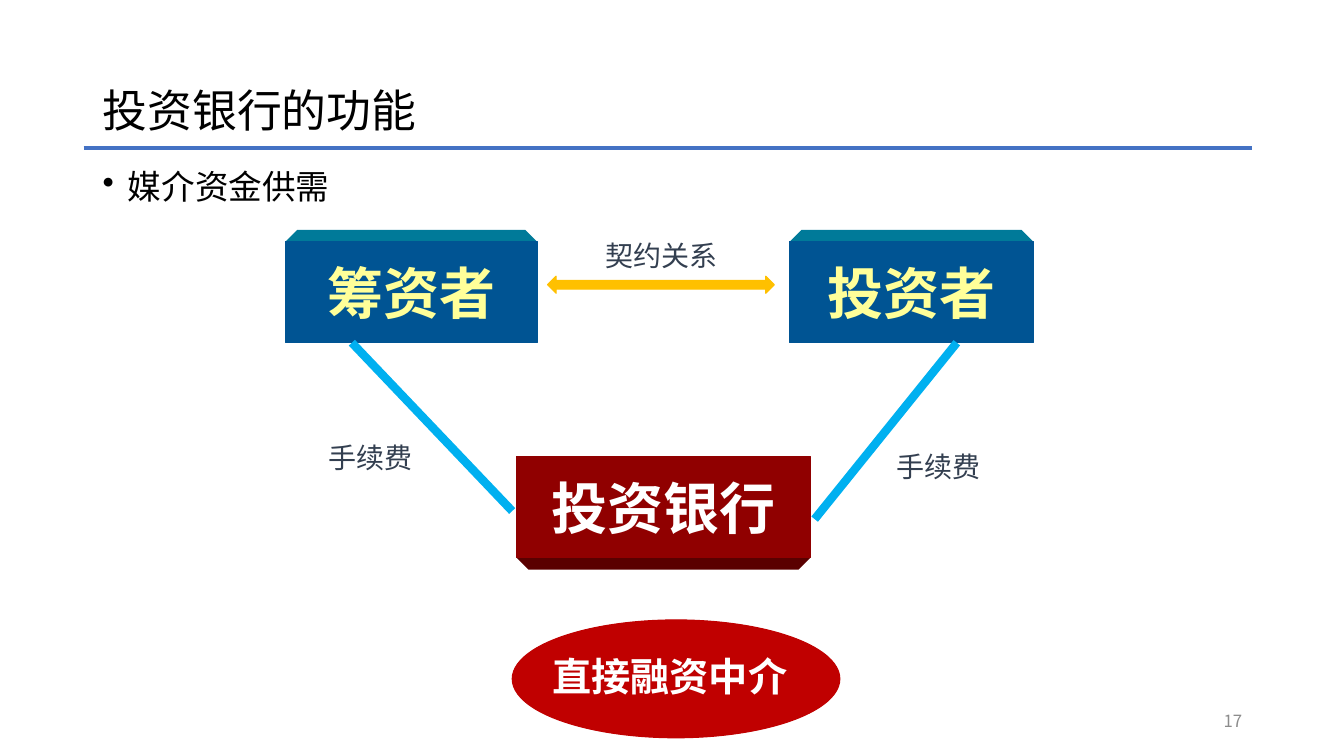
import dataclasses
import lxml.etree
import pptx
import pptx.dml.color
import pptx.enum.shapes
import pptx.enum.text
import pptx.oxml
import pptx.oxml.ns
import pptx.util

PX = 9144  # 100 px to the inch
SHAPE = pptx.enum.shapes.MSO_SHAPE
ALIGN = pptx.enum.text.PP_ALIGN
ANCHOR = pptx.enum.text.MSO_ANCHOR
QN = pptx.oxml.ns.qn


@dataclasses.dataclass(frozen=True)
class Theme:
    font: str = "Noto Sans CJK SC"
    ink: str = "000000"
    white: str = "FFFFFF"
    rule: str = "4472C4"
    gray: str = "8C8C8C"
    slate: str = "333F50"
    yellow: str = "FFFF99"
    blue: str = "005493"
    teal: str = "007A99"
    wine: str = "900000"
    dark: str = "5A0000"
    red: str = "C00000"
    gold: str = "FFC000"
    sky: str = "00B0F0"
    title: int = 32
    body: int = 24
    label: int = 20
    party: int = 40
    role: int = 28
    small: int = 12


T = Theme()


def rgb(code):
    return pptx.dml.color.RGBColor.from_string(code)


def emu(*nums):
    return [pptx.util.Emu(n * PX) for n in nums]


def write(shape, text, size, color, bold=False, align=ALIGN.LEFT,
          anchor=ANCHOR.TOP, wrap=True, space=None, before=0, bullet=None):
    frame = shape.text_frame
    frame.word_wrap = wrap
    frame.vertical_anchor = anchor
    para = frame.paragraphs[0]
    para.alignment = align
    para.line_spacing = space
    para.space_before = pptx.util.Pt(before)
    if bullet:
        props = para._p.get_or_add_pPr()
        props.set("marL", str(25 * PX))
        props.set("indent", str(-25 * PX))
        lxml.etree.SubElement(props, QN("a:buChar")).set("char", bullet)
    run = para.add_run()
    run.text = text
    font = run.font
    font.name, font.size, font.bold = T.font, pptx.util.Pt(size), bold
    font.color.rgb = rgb(color)
    east = lxml.etree.SubElement(run._r.get_or_add_rPr(), QN("a:ea"))
    east.set("typeface", T.font)


def label(slide, box, text, size, color, **form):
    write(slide.shapes.add_textbox(*emu(*box)), text, size, color, **form)


def paint(shape, color):
    shape.shadow.inherit = False
    shape.fill.solid()
    shape.fill.fore_color.rgb = rgb(color)
    shape.line.color.rgb = rgb(color)
    shape.line.width = pptx.util.Pt(0.75)
    return shape


def solid(slide, kind, box, color):
    return paint(slide.shapes.add_shape(kind, *emu(*box)), color)


def link(slide, start, end, color, width):
    line = slide.shapes.add_connector(
        pptx.enum.shapes.MSO_CONNECTOR.STRAIGHT, *emu(*start, *end))
    line.line.color.rgb = rgb(color)
    line.line.width = pptx.util.Pt(width)
    lxml.etree.SubElement(line._element.spPr, QN("a:effectLst"))


def block(slide, box, text, front, side, ink, lift):
    """Draw a block whose side face shows above (lift < 0) or below it."""
    left, top, wide, high = box
    edge = top if lift < 0 else top + high
    inset = abs(lift)
    path = slide.shapes.build_freeform(left, edge, scale=PX)
    path.add_line_segments([(left + wide, edge),
                            (left + wide - inset, edge + lift),
                            (left + inset, edge + lift)])
    paint(path.convert_to_shape(), side).line.fill.background()
    face = solid(slide, SHAPE.RECTANGLE, box, front)
    write(face, text, T.party, ink, bold=True, align=ALIGN.CENTER,
          anchor=ANCHOR.MIDDLE, wrap=False)


def header(slide, box):
    left, top, wide, high = box
    # Title, rule and bullet
    label(slide, box, "投资银行的功能", T.title, T.ink,
          anchor=ANCHOR.MIDDLE, space=0.9)
    rule = top + 107
    link(slide, (left - 9, rule), (left + wide, rule), T.rule, 3)
    label(slide, (left, top + 124, wide, 50), "媒介资金供需", T.body, T.ink,
          space=0.9, before=10, bullet="•")


def diagram(slide, box):
    left, top, wide, high = box

    def at(x, y, *size):
        return (left + x, top + y, *size)

    # Three parties
    block(slide, at(0, 0, 250, 100), "筹资者", T.blue, T.teal, T.yellow, -12)
    block(slide, at(wide - 242, 0, 242, 100), "投资者", T.blue, T.teal,
          T.yellow, -12)
    block(slide, at(229, 213, 292, 100), "投资银行", T.wine, T.dark,
          T.white, 12)
    # Links between them
    link(slide, at(525, 275), at(666, 100), T.sky, 6)
    link(slide, at(225, 267), at(66, 100), T.sky, 6)
    solid(slide, SHAPE.LEFT_RIGHT_ARROW, at(260, 34, 225, 17), T.gold)
    # Link labels
    for x, y, width, text in ((308, -8, 133, "契约关系"),
                              (33, 192, 121, "手续费"),
                              (596, 201, 121, "手续费")):
        label(slide, at(x, y, width, 44), text, T.label, T.slate)
    # Role of the bank
    solid(slide, SHAPE.OVAL, at(225, high - 117, 325, 117), T.red)
    label(slide, at(255, high - 90, 267, 57), "直接融资中介", T.role, T.white,
          bold=True)


def footer(slide, box):
    label(slide, box, "17", T.small, T.gray, align=ALIGN.RIGHT,
          anchor=ANCHOR.MIDDLE)


def main():
    deck = pptx.Presentation()
    deck.slide_width, deck.slide_height = emu(1333, 750)
    slide = deck.slides.add_slide(deck.slide_layouts[6])
    header(slide, (92, 40, 1150, 145))
    diagram(slide, (283, 240, 742, 492))
    footer(slide, (942, 695, 300, 40))
    deck.save("out.pptx")


if __name__ == "__main__":
    main()
